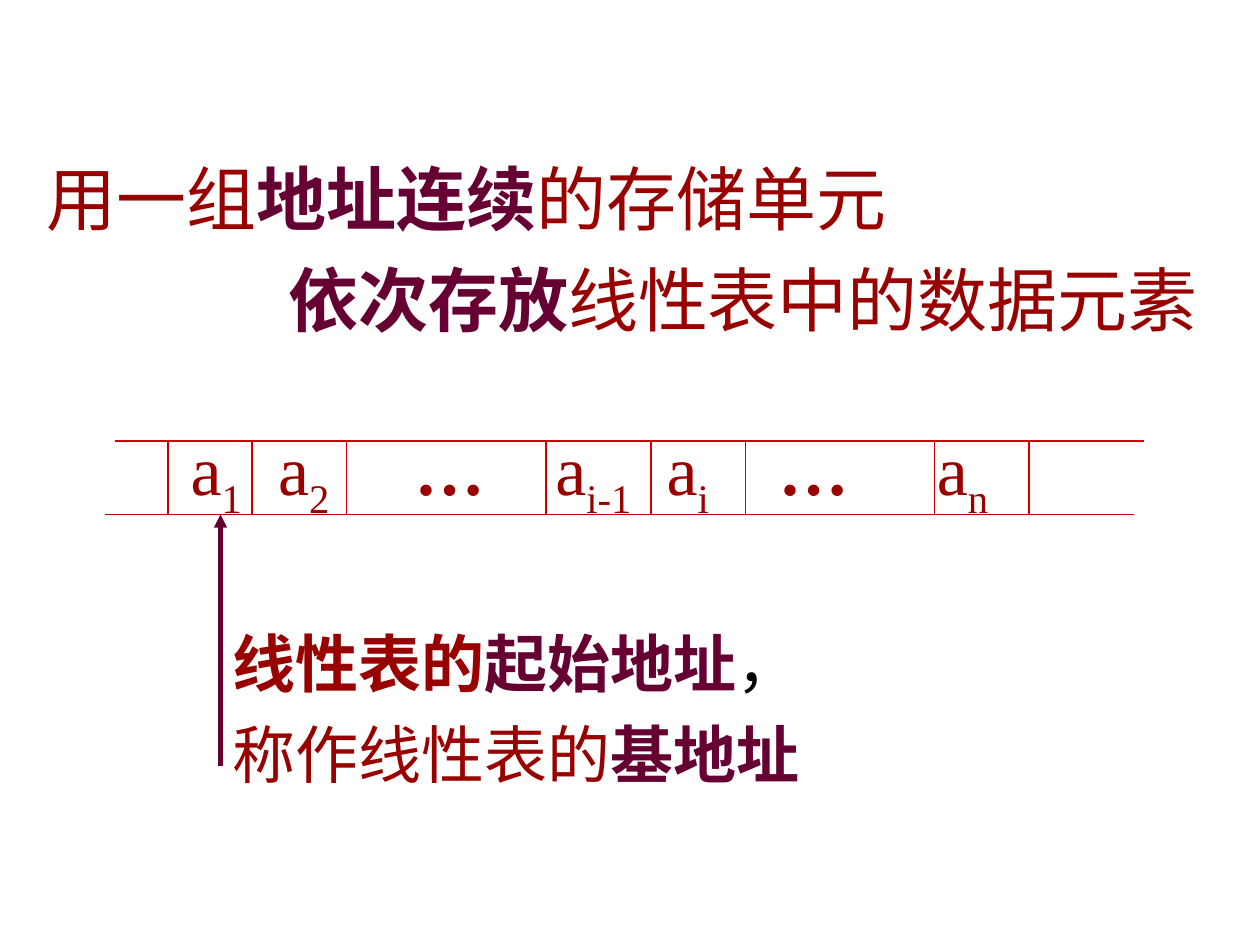
from lxml import etree
from pptx import Presentation
from pptx.dml.color import RGBColor
from pptx.enum.shapes import MSO_CONNECTOR
from pptx.oxml.ns import qn
from pptx.util import Pt

STRAIGHT = MSO_CONNECTOR.STRAIGHT
RED, PLUM, BLACK, RULE = "990000", "660033", "000000", "CC0000"


def color(value):
    return RGBColor.from_string(value)


class SlideWriter:
    font_name = "Times New Roman"

    def __init__(self, page):
        self.page = page

    def text_frame(self, left, top, width, height):
        box = self.page.shapes.add_textbox(Pt(left), Pt(top), Pt(width), Pt(height))
        box.text_frame.word_wrap = True
        return box.text_frame

    def span(self, para, text, size, shade, bold=False, subscript=False):
        span = para.add_run()
        span.text = text
        span.font.name = self.font_name
        span.font.size = Pt(size)
        span.font.bold = bold
        span.font.color.rgb = color(shade)
        if subscript:
            span.font._element.set("baseline", "-25000")

    def statement(self, left, top, width, height, size, lines):
        """Write lines given as (indent, spans), a span being (text, colour, bold)."""
        frame = self.text_frame(left, top, width, height)
        for number, (indent, spans) in enumerate(lines):
            para = frame.add_paragraph() if number else frame.paragraphs[0]
            para.line_spacing = 1.2
            para._p.get_or_add_pPr().set("marL", str(Pt(indent)))
            for text, shade, bold in spans:
                self.span(para, text, size, shade, bold)

    def cell_labels(self, left, top, width, height, size, labels):
        """Write labels given as (tab stop, text, subscript) on one line."""
        para = self.text_frame(left, top, width, height).paragraphs[0]
        tabs = etree.SubElement(para._p.get_or_add_pPr(), qn("a:tabLst"))
        for stop, text, index in labels:
            etree.SubElement(tabs, qn("a:tab"), pos=str(Pt(stop)), algn="l")
            self.span(para, "\t" + text, size, RED, bold=not index)
            if index:
                self.span(para, index, size, RED, subscript=True)

    def line(self, x1, y1, x2, y2, shade=RULE, width=0.75, arrow=False):
        line = self.page.shapes.add_connector(STRAIGHT, Pt(x1), Pt(y1), Pt(x2), Pt(y2))
        line.line.color.rgb = color(shade)
        line.line.width = Pt(width)
        if arrow:
            etree.SubElement(line.line._get_or_add_ln(), qn("a:tailEnd"), type="triangle")
        etree.SubElement(line._element.spPr, qn("a:effectLst"))


def main():
    deck = Presentation()
    deck.slide_width, deck.slide_height = Pt(720), Pt(540)
    writer = SlideWriter(deck.slides.add_slide(deck.slide_layouts[6]))

    writer.statement(13.7, 75.6, 696, 151, 40, [
        (6, [("用一组", RED, False), ("地址连续", PLUM, True), ("的存储单元", RED, False)]),
        (144, [("依次存放", PLUM, True), ("线性表中的数据元素", RED, False)]),
    ])
    writer.cell_labels(95.8, 239.8, 487.5, 84, 40, [
        (6, "a", "1"), (56, "a", "2"), (134, "…", ""), (214.5, "a", "i-1"),
        (278, "a", "i"), (342, "…", ""), (432.5, "a", "n"),
    ])
    writer.statement(126, 344.9, 340.6, 139.7, 36, [
        (0, [("线性表的", RED, True), ("起始地址", PLUM, True), ("，", BLACK, False)]),
        (0, [("称作线性表的", RED, False), ("基地址", PLUM, True)]),
    ])

    row_top, row_bottom = 252, 294
    writer.line(66, row_top, 654, row_top)
    writer.line(60, row_bottom, 648, row_bottom)
    for x in (96, 144, 198, 312, 372, 426, 534, 588):
        writer.line(x, row_top, x, row_bottom)
    writer.line(102, row_bottom, 90, row_bottom)
    writer.line(126, 438, 126, row_bottom, PLUM, 2.5, arrow=True)

    deck.save("out.pptx")


if __name__ == "__main__":
    main()
